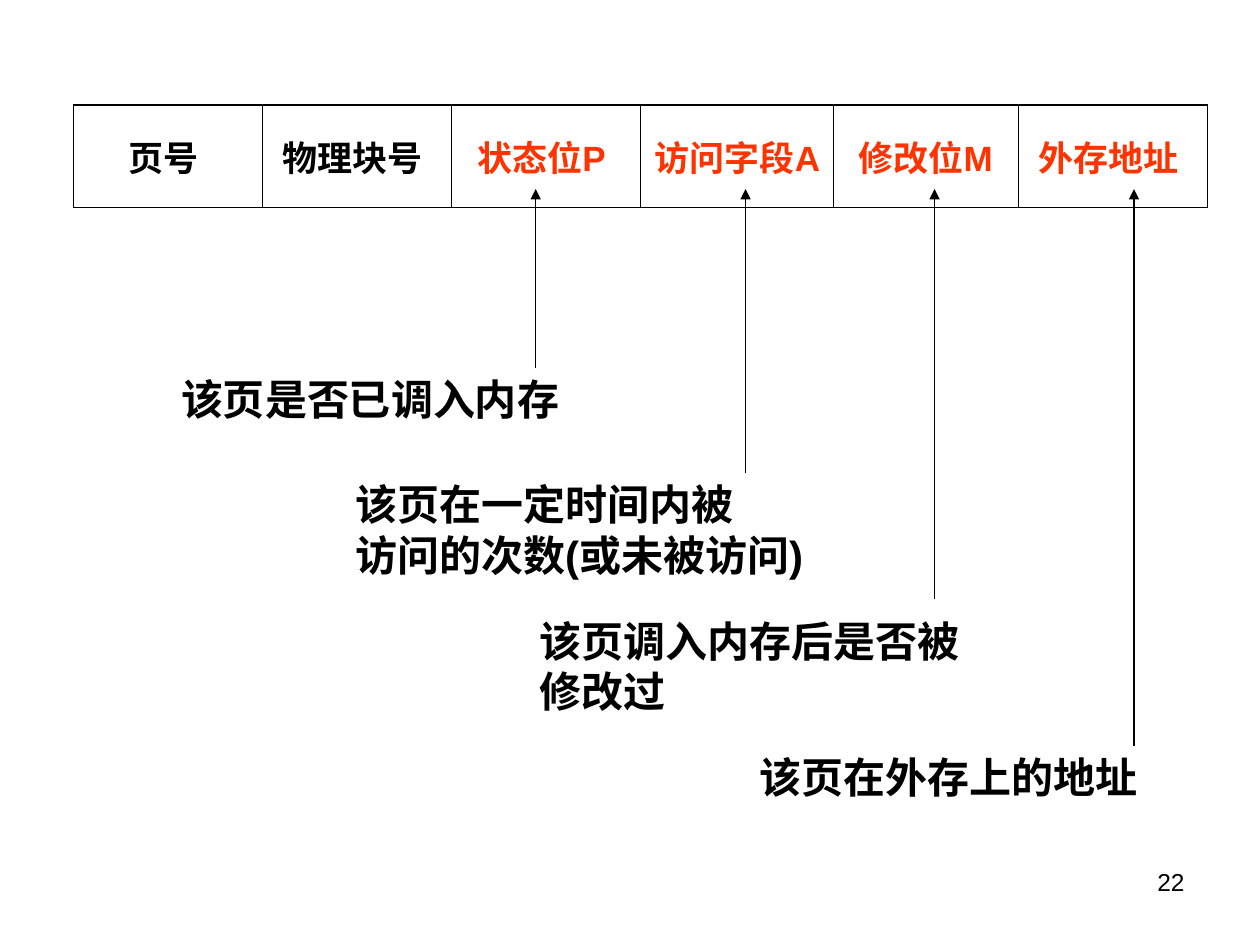
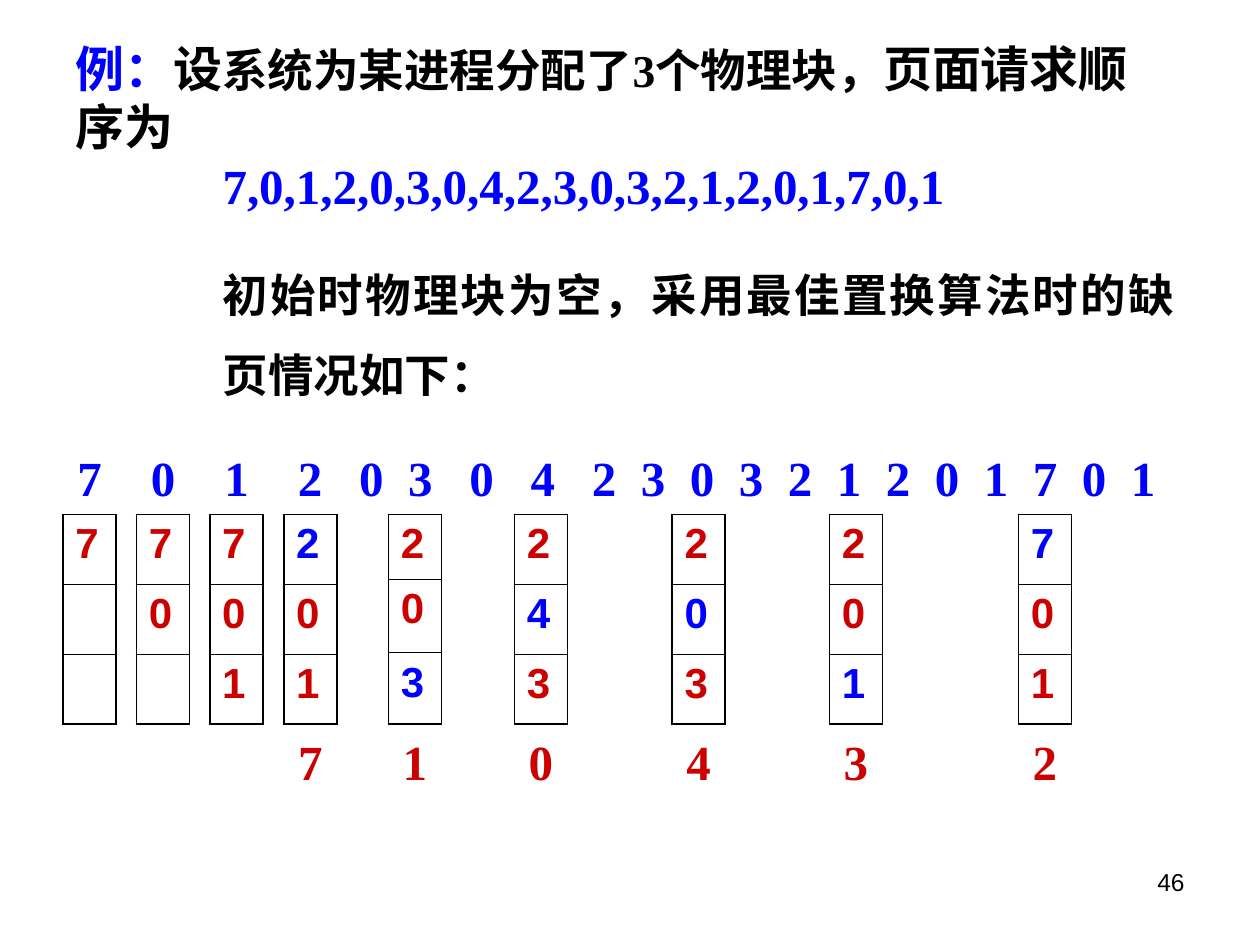
"""Build two slides on page table fields and the optimal page replacement example."""
from itertools import accumulate

from lxml.etree import SubElement
from pptx import Presentation
from pptx.dml.color import RGBColor
from pptx.enum.shapes import MSO_CONNECTOR
from pptx.enum.text import MSO_ANCHOR, MSO_AUTO_SIZE, PP_ALIGN
from pptx.oxml.ns import qn
from pptx.util import Cm, Pt

COLORS = {"ink": "000000", "field": "FF3300", "blue": "0000FF", "red": "CC0000"}
SANS, SERIF = "Arial", "Times New Roman"
STYLES = {
    "number": {"name": SANS, "size": Pt(14)},
    "field": {"name": SANS, "size": Pt(20), "bold": True},
    "label": {"name": SANS, "size": Pt(24), "bold": True},
    "example": {"name": SERIF, "size": Pt(28), "bold": True},
    "detail": {"name": SERIF, "size": Pt(26), "bold": True},
}
OUTER, INNER = Pt(1.08), Pt(0.45)

FIELDS = [
    ("页号 ", "ink", 3.81), ("物理块号 ", "ink", 3.81), ("状态位P ", "field", 3.81),
    ("访问字段A ", "field", 3.88), ("修改位M", "field", 3.74), ("外存地址 ", "field", 3.81),
]
MEANINGS = [
    {"lines": ["该页是否已调入内存"],
     "box": (3.4, 7.41, 8.13, 1.27), "arrow": (10.8, 7.41)},
    {"lines": ["该页在一定时间内被", "访问的次数(或未被访问)"],
     "box": (6.91, 9.53, 10.13, 2.29), "arrow": (15.03, 9.53)},
    {"lines": ["该页调入内存后是否被", "修改过"],
     "box": (10.62, 12.28, 8.97, 2.29), "arrow": (18.84, 12.07)},
    {"lines": ["该页在外存上的地址"],
     "box": (15.06, 15.03, 8.13, 1.27), "arrow": (22.86, 15.03)},
]
ARROW_TOP = 3.81

REQUESTS = "70120304230321201701"
REQUEST_GAPS = [6, 6, 6, 5, 4, 5, 5, 5] + [4] * 11
GAP_UNIT = Pt(7)
EXAMPLE = [
    ([("例：", "example", "blue"), ("设", "example", "ink"),
      ("系统为某进程分配了3个物理块，", "detail", "ink"),
      ("页面请求顺序为", "example", "ink")], {"alignment": PP_ALIGN.LEFT}),
    ([(",".join(REQUESTS), "example", "blue")], {"alignment": PP_ALIGN.LEFT}),
    ([("初始时物理块为空，采用最佳置换算法时的缺页情况如下：", "detail", "ink")],
     {"alignment": PP_ALIGN.JUSTIFY, "line_spacing": 1.45, "space_before": Pt(16.2)}),
]
EVEN_ROWS = (1.41, 1.41, 1.41)
FRAMES = [
    {"left": 1.27, "pages": ("7", "", "")},
    {"left": 2.75, "pages": ("7", "0", "")},
    {"left": 4.23, "pages": ("7", "0", "1")},
    {"left": 5.72, "pages": ("2", "0", "1"), "loaded": 0, "evicted": "7"},
    {"left": 7.83, "pages": ("2", "0", "3"), "loaded": 2, "evicted": "1",
     "rows": (1.31, 1.48, 1.44)},
    {"left": 10.37, "pages": ("2", "4", "3"), "loaded": 1, "evicted": "0"},
    {"left": 13.55, "pages": ("2", "0", "3"), "loaded": 1, "evicted": "4"},
    {"left": 16.72, "pages": ("2", "0", "1"), "loaded": 2, "evicted": "3"},
    {"left": 20.53, "pages": ("7", "0", "1"), "loaded": 0, "evicted": "2"},
]
FRAME_TOP, FRAME_WIDTH, EVICTED_TOP = 10.37, 1.07, 14.63


def apply(target, values):
    for attribute, value in values.items():
        setattr(target, attribute, value)


def rgb(color):
    return RGBColor.from_string(COLORS[color])


def add_run(paragraph, text, style, color):
    run = paragraph.add_run()
    run.text = text
    apply(run.font, STYLES[style])
    run.font.color.rgb = rgb(color)


def fill_text(frame, paragraphs):
    for index, (runs, layout) in enumerate(paragraphs):
        paragraph = frame.add_paragraph() if index else frame.paragraphs[0]
        apply(paragraph, layout)
        for run in runs:
            add_run(paragraph, *run)


def add_label(slide, box, lines, style, color="ink", align=PP_ALIGN.LEFT, wrap=True):
    frame = slide.shapes.add_textbox(*map(Cm, box)).text_frame
    frame.word_wrap = wrap
    fill_text(frame, [([(line, style, color)], {"alignment": align}) for line in lines])
    return frame


def add_page_number(slide, number):
    add_label(slide, (18.2, 17.36, 5.93, 1.32), [number], "number", align=PP_ALIGN.RIGHT)


def add_grid(slide, left, top, widths, heights, cells, style, layout, anchor):
    grid = slide.shapes.add_table(len(heights), len(widths), Cm(left), Cm(top),
                                  Cm(sum(widths)), Cm(sum(heights))).table
    apply(grid, {"first_row": False, "horz_banding": False})
    for column, width in zip(grid.columns, widths):
        column.width = Cm(width)
    for row, height in zip(grid.rows, heights):
        row.height = Cm(height)
    for r, row in enumerate(cells):
        for c, (text, color) in enumerate(row):
            cell = grid.cell(r, c)
            cell.vertical_anchor = anchor
            apply(cell, {"margin_left": Cm(0.25), "margin_right": Cm(0.25)})
            edges = {"lnL": c == 0, "lnR": c == len(widths) - 1,
                     "lnT": r == 0, "lnB": r == len(heights) - 1}
            add_borders(cell, edges)
            cell.fill.background()
            if text:
                fill_text(cell.text_frame, [([(text, style, color)], layout)])


def add_borders(cell, edges):
    properties = cell._tc.get_or_add_tcPr()
    for side, is_outer in edges.items():
        border = SubElement(properties, qn(f"a:{side}"), w=str(OUTER if is_outer else INNER))
        fill = SubElement(border, qn("a:solidFill"))
        SubElement(fill, qn("a:srgbClr"), val=COLORS["ink"])


def add_arrow(slide, x, bottom):
    arrow = slide.shapes.add_connector(MSO_CONNECTOR.STRAIGHT, Cm(x), Cm(bottom),
                                       Cm(x), Cm(ARROW_TOP))
    arrow.line.color.rgb = rgb("ink")
    arrow.line.width = Pt(0.75)
    SubElement(arrow.line._get_or_add_ln(), qn("a:tailEnd"), type="triangle")
    SubElement(arrow._element.spPr, qn("a:effectLst"))


def build_fields(slide):
    add_grid(slide, 1.48, 2.12, [width for *_, width in FIELDS], [1.96],
             [[(name, color) for name, color, _ in FIELDS]], "field",
             {"alignment": PP_ALIGN.CENTER}, MSO_ANCHOR.MIDDLE)
    for meaning in MEANINGS:
        add_arrow(slide, *meaning["arrow"])
        add_label(slide, meaning["box"], meaning["lines"], "label", wrap=False)
    add_page_number(slide, "22")


def build_example(slide):
    statement = slide.shapes.title
    apply(statement, {"left": Cm(1.27), "top": Cm(0.64), "width": Cm(22.66), "height": Cm(7.59)})
    apply(statement.text_frame, {"auto_size": MSO_AUTO_SIZE.NONE, "word_wrap": True,
                                 "vertical_anchor": MSO_ANCHOR.TOP})
    fill_text(statement.text_frame, EXAMPLE)
    statement.text_frame.paragraphs[1]._p.get_or_add_pPr().set("marL", str(12 * GAP_UNIT))

    requests = add_label(slide, (1.31, 8.89, 23.04, 1.45), ["\t".join(REQUESTS)],
                         "example", "blue")
    stops = SubElement(requests.paragraphs[0]._p.get_or_add_pPr(), qn("a:tabLst"))
    for units in accumulate(REQUEST_GAPS):
        SubElement(stops, qn("a:tab"), pos=str(units * GAP_UNIT), algn="l")

    for frame in FRAMES:
        loaded = frame.get("loaded")
        pages = [[(page, "blue" if row == loaded else "red")]
                 for row, page in enumerate(frame["pages"])]
        add_grid(slide, frame["left"], FRAME_TOP, [FRAME_WIDTH], frame.get("rows", EVEN_ROWS),
                 pages, "label", {"alignment": PP_ALIGN.LEFT}, MSO_ANCHOR.TOP)
        if "evicted" in frame:
            add_label(slide, (frame["left"], EVICTED_TOP, FRAME_WIDTH, 1.45),
                      [frame["evicted"]], "example", "red", PP_ALIGN.CENTER, wrap=False)
    add_page_number(slide, "46")


def main():
    deck = Presentation()
    apply(deck, {"slide_width": Cm(25.4), "slide_height": Cm(19.05)})
    title_only, blank = deck.slide_layouts[5], deck.slide_layouts[6]
    build_fields(deck.slides.add_slide(blank))
    build_example(deck.slides.add_slide(title_only))
    deck.save("out.pptx")


if __name__ == "__main__":
    main()
